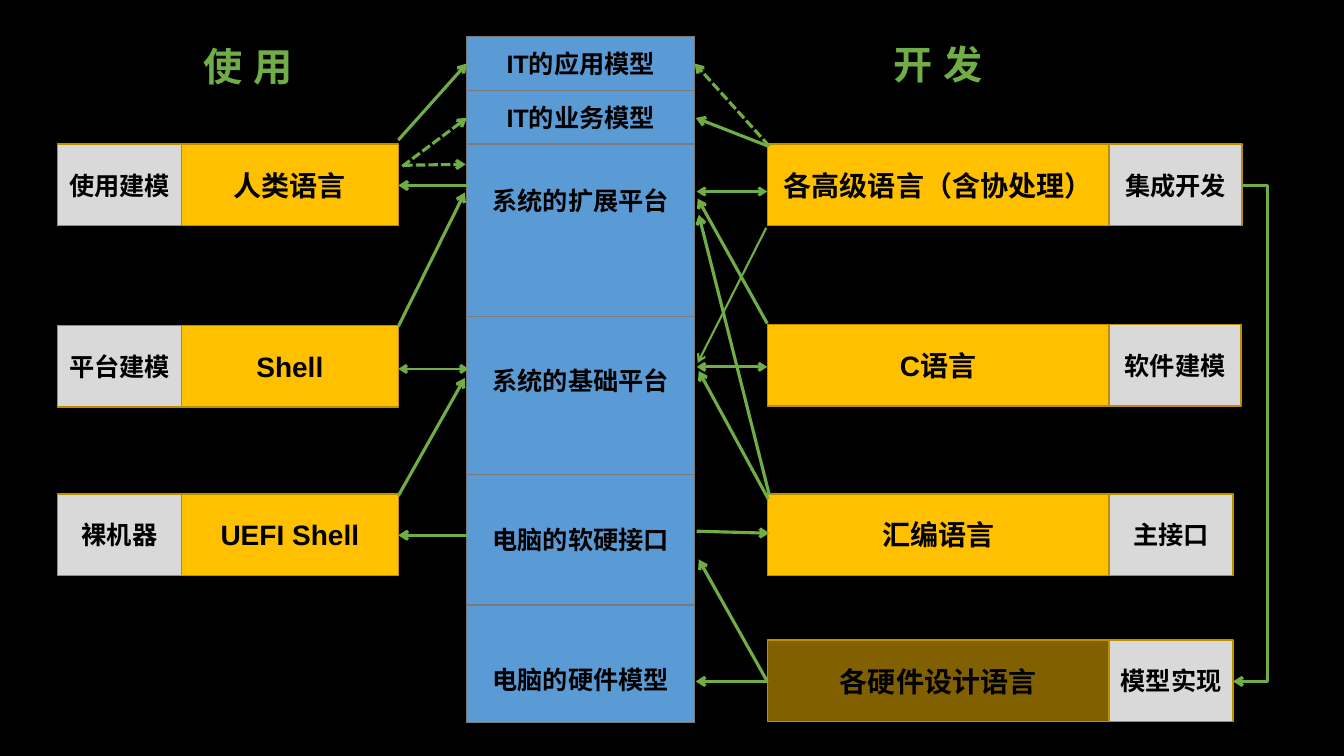
from lxml import etree
from pptx import Presentation
from pptx.dml.color import RGBColor
from pptx.enum.dml import MSO_LINE
from pptx.enum.shapes import MSO_CONNECTOR as Link, MSO_SHAPE
from pptx.enum.text import MSO_ANCHOR, MSO_AUTO_SIZE, PP_ALIGN
from pptx.oxml.ns import qn
from pptx.util import Inches, Pt

COLORS = {
    "back": "000000", "ink": "000000", "green": "70AD47",
    "blue": "5B9BD5", "blue_edge": "7A7A7A",
    "gold": "FFC000", "gold_edge": "BD8E00", "grey": "D9D9D9",
}
RGB = {name: RGBColor.from_string(value) for name, value in COLORS.items()}

# Columns of the grid, in inches
NOTE_LEFT, USE_LEFT, USE_RIGHT = 0.57, 1.8, 3.95
CORE_LEFT, CORE_RIGHT = 4.63, 6.89
DEV_LEFT, DEV_RIGHT = 7.61, 11
ROW_HEIGHT = 0.81
LINE_HEIGHT = 0.3

deck = Presentation()
deck.slide_width, deck.slide_height = Inches(13.33), Inches(7.5)
page = deck.slides.add_slide(deck.slide_layouts[6])
page.background.fill.solid()
page.background.fill.fore_color.rgb = RGB["back"]


def add_text(box, text, size, color):
    para = box.text_frame.paragraphs[0]
    span = para.add_run()
    span.text = text
    span.font.name, span.font.bold = "Arial", True
    span.font.size, span.font.color.rgb = Pt(size), RGB[color]
    etree.SubElement(span.font._element, qn("a:ea"), typeface="Arial")
    return para


def add_box(text, left, top, width, height, fill, edge, size):
    box = page.shapes.add_shape(
        MSO_SHAPE.RECTANGLE, *map(Inches, (left, top, width, height)))
    box.shadow.inherit = False
    box.fill.solid()
    box.fill.fore_color.rgb = RGB[fill]
    box.line.color.rgb, box.line.width = RGB[edge], Pt(1)
    box.text_frame.word_wrap = True
    box.text_frame.vertical_anchor = MSO_ANCHOR.MIDDLE
    add_text(box, text, size, "ink").alignment = PP_ALIGN.CENTER
    return box


# Central stack: text, top, bottom, lines the text is pushed up (+) or down (-)
layers = [
    ("电脑的软硬接口", 4.71, 6.0, 0),
    ("系统的基础平台", 3.14, 4.71, 1),
    ("系统的扩展平台", 1.43, 3.14, 2),
    ("电脑的硬件模型", 6.01, 7.17, -1),
    ("IT的业务模型", 0.9, 1.43, 0),
    ("IT的应用模型", 0.36, 0.9, 0),
]
for text, top, bottom, push in layers:
    box = add_box(text, CORE_LEFT, top, CORE_RIGHT - CORE_LEFT, bottom - top,
                  "blue", "blue_edge", 18)
    box.text_frame.margin_bottom = Inches(0.05 + LINE_HEIGHT * max(push, 0))
    box.text_frame.margin_top = Inches(0.05 + LINE_HEIGHT * max(-push, 0))

# Left side: each language with its note on the left
for note, language, top in [
    ("使用建模", "人类语言", 1.43),
    ("平台建模", "Shell", 3.23),
    ("裸机器", "UEFI Shell", 4.9),
]:
    add_box(language, USE_LEFT, top, USE_RIGHT - USE_LEFT, ROW_HEIGHT,
            "gold", "gold_edge", 20)
    add_box(note, NOTE_LEFT, top, USE_LEFT - NOTE_LEFT, ROW_HEIGHT,
            "grey", "gold_edge", 18)

# Right side: each language with its note on the right
for language, note, top, note_width in [
    ("各高级语言（含协处理）", "集成开发", 1.43, 1.32),
    ("C语言", "软件建模", 3.22, 1.31),
    ("汇编语言", "主接口", 4.9, 1.23),
    ("各硬件设计语言", "模型实现", 6.35, 1.23),
]:
    language_box = add_box(language, DEV_LEFT, top, DEV_RIGHT - DEV_LEFT,
                           ROW_HEIGHT, "gold", "gold_edge", 20)
    add_box(note, DEV_RIGHT, top, note_width, ROW_HEIGHT,
            "grey", "gold_edge", 18)

# The last language, hardware design, is half transparent
gold = language_box.fill._xPr.find(".//" + qn("a:srgbClr"))
etree.SubElement(gold, qn("a:alpha"), val="50000")

# Arrows: start x, start y, end x, end y, line width, style
arrows = [
    (CORE_LEFT, 1.84, USE_RIGHT, 1.84, 2.25, "one"),
    (CORE_LEFT, 5.31, USE_RIGHT, 5.31, 2.25, "one"),
    (4.65, 3.66, USE_RIGHT, 3.66, 2, "both"),
    (USE_RIGHT, 3.24, 4.61, 1.91, 2.25, "one"),
    (USE_RIGHT, 4.92, 4.61, 3.75, 2.25, "one"),
    (USE_RIGHT, 1.39, CORE_LEFT, 0.63, 2.25, "one"),
    (4, 1.64, 4.62, 1.63, 2.25, "dashed"),
    (3.99, 1.65, CORE_LEFT, 1.17, 2.25, "dashed"),
    (DEV_LEFT, 6.76, 6.9, 6.76, 2.25, "one"),
    (DEV_LEFT, 6.76, 6.93, 5.55, 2.25, "one"),
    (DEV_LEFT, 1.9, 6.91, 1.9, 2, "both"),
    (DEV_LEFT, 3.64, 6.91, 3.64, 2, "both"),
    (6.91, 5.27, 7.63, 5.29, 2.25, "one"),
    (7.62, 4.95, 6.93, 3.68, 2.25, "one"),
    (7.63, 4.91, 6.93, 2.13, 2.25, "one"),
    (DEV_LEFT, 3.21, 6.92, 1.97, 2.25, "one"),
    (7.6, 2.26, 6.92, 3.6, 1.5, "one"),
    (7.62, 1.45, 6.9, 1.17, 2.25, "one"),
    (7.63, 1.45, CORE_RIGHT, 0.63, 2.25, "dashed"),
    (12.32, 1.84, 12.23, 6.76, 2.25, "bent"),
]
for *ends, width, style in arrows:
    kind = Link.ELBOW if style == "bent" else Link.STRAIGHT
    arrow = page.shapes.add_connector(kind, *map(Inches, ends))
    arrow.line.color.rgb, arrow.line.width = RGB["green"], Pt(width)
    if style == "dashed":
        arrow.line.dash_style = MSO_LINE.SQUARE_DOT
    props = arrow._element.spPr
    outline = props.find(qn("a:ln"))
    if style == "both":
        etree.SubElement(outline, qn("a:headEnd"), type="arrow")
    etree.SubElement(outline, qn("a:tailEnd"), type="arrow")
    etree.SubElement(props, qn("a:effectLst"))
    if style == "bent":
        shape = props.find(qn("a:prstGeom"))
        guides = shape.find(qn("a:avLst"))
        if guides is None:
            guides = etree.SubElement(shape, qn("a:avLst"))
        etree.SubElement(guides, qn("a:gd"), name="adj1", fmla="val -277800")

for text, left, top in [("使 用", 1.92, 0.37), ("开 发", 8.76, 0.35)]:
    heading = page.shapes.add_textbox(*map(Inches, (left, top, 1.87, 0.57)))
    heading.text_frame.word_wrap = True
    heading.text_frame.auto_size = MSO_AUTO_SIZE.SHAPE_TO_FIT_TEXT
    add_text(heading, text, 28, "green")

deck.save("out.pptx")
